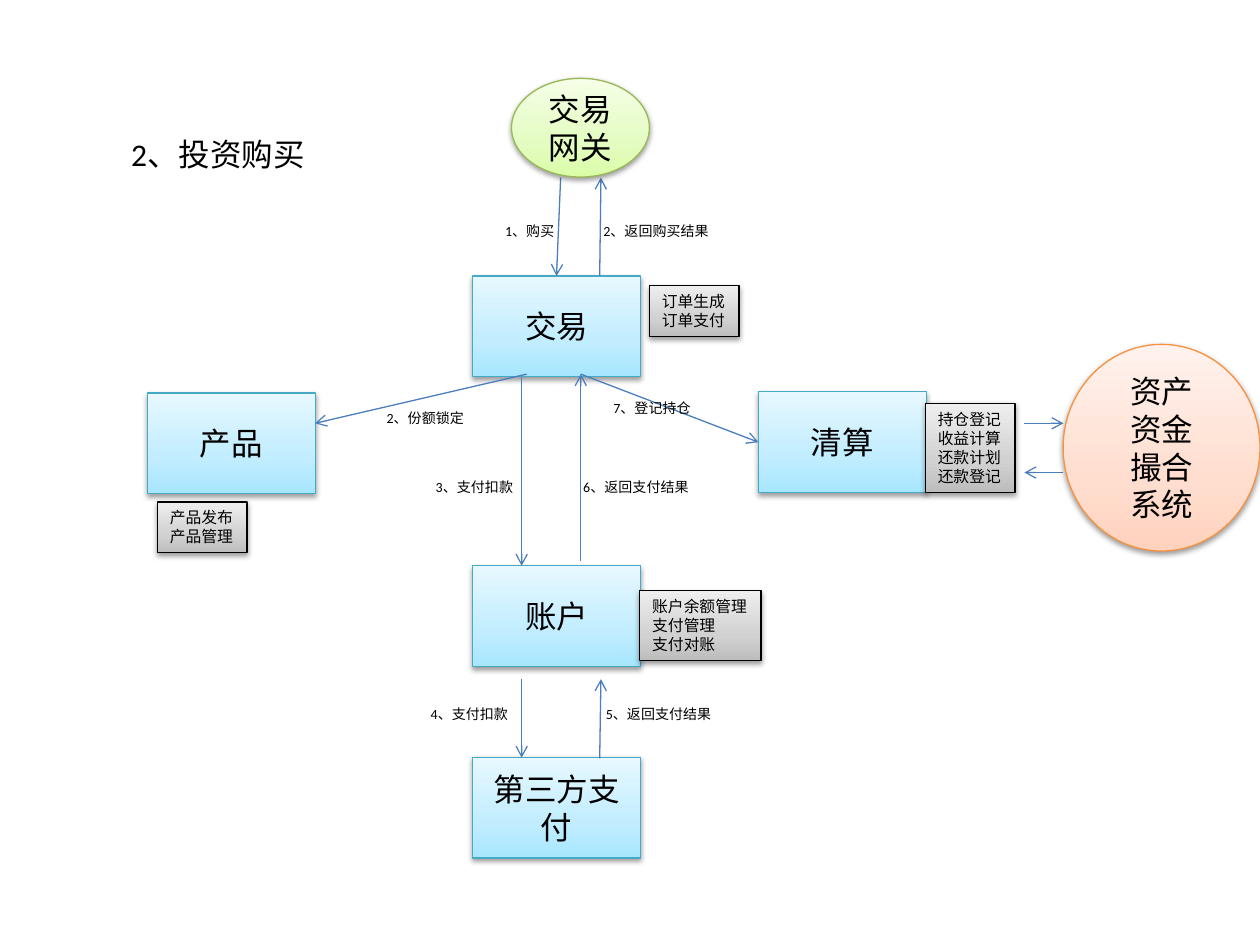
from lxml.etree import SubElement
from pptx import Presentation
from pptx.dml.color import RGBColor
from pptx.enum.shapes import MSO_CONNECTOR, MSO_SHAPE
from pptx.enum.text import MSO_ANCHOR, MSO_AUTO_SIZE, PP_ALIGN
from pptx.oxml import parse_xml
from pptx.oxml.ns import nsdecls, qn
from pptx.util import Pt

# Each style: line colour, then gradient stops from bottom to top
BLUE = ("46AAC5", ("A7E6FF", "C1EDFF", "E7F8FF"))
GRAY = ("000000", ("BDBDBD", "D1D1D1", "EEEEEE"))
GREEN = ("98B955", ("DAFDA7", "E4FCC2", "F5FFE7"))
ORANGE = ("F69240", ("FFD2BD", "FFDED0", "FFF2ED"))
STOPS = (0, 35, 100)

MODULE_SIZE = (96, 57.6)
MODULES = {
    "产品": (84.2, 224.6),
    "交易": (270, 157.7),
    "清算": (433.4, 223.9),
    "账户": (270, 323.3),
    "第三方支付": (270, 432.7),
}
FREE_ARROWS = [
    ((301, 213.8), (180, 241.9)),
    ((298.1, 215.3), (298.1, 323.3)),
    ((298.1, 388.1), (298.1, 433)),
    ((342.7, 433.4), (343.4, 388.1)),
    ((342.7, 157.7), (343.4, 101.5)),
    ((331.9, 320.4), (331.9, 213.8)),
    ((585.4, 241.9), (607.7, 241.9)),
    ((607.7, 270), (585.4, 270)),
]
LABELS = [
    ("1、购买", 281.5, 123.8, 42.5),
    ("2、返回购买结果", 337.7, 123.8, 74.9),
    ("2、份额锁定", 213.8, 230.4, 59),
    ("3、支付扣款", 241.9, 270, 59),
    ("4、支付扣款", 239, 399.6, 59),
    ("5、返回支付结果", 339.1, 399.6, 74.9),
    ("6、返回支付结果", 326.2, 270, 74.9),
    ("7、登记持仓", 343.4, 224.6, 59),
]
NOTES = [
    (("订单生成", "订单支付"), (371.2, 163.3, 51.2, 29.1)),
    (("产品发布", "产品管理"), (90, 286.8, 51.2, 29.1)),
    (("账户余额管理", "支付管理", "支付对账"), (365.6, 337.5, 69.2, 40)),
    (("持仓登记", "收益计算", "还款计划", "还款登记"), (528.8, 230.5, 51.2, 50.9)),
]


def color(hex_value):
    return RGBColor.from_string(hex_value)


def write(shape, lines, size, align=PP_ALIGN.LEFT, anchor=MSO_ANCHOR.TOP, grow=False):
    frame = shape.text_frame
    frame.word_wrap = True
    frame.vertical_anchor = anchor
    frame.auto_size = MSO_AUTO_SIZE.SHAPE_TO_FIT_TEXT if grow else MSO_AUTO_SIZE.NONE
    frame.text = "\n".join(lines)
    for para in frame.paragraphs:
        para.alignment = align
        para.font.name = "Calibri"
        para.font.size = Pt(size)
        para.font.color.rgb = color("000000")


def add_gradient(shape, stops):
    """Fill with three stops, which python-pptx gradients do not offer."""
    stop_xml = "".join(
        f'<a:gs pos="{position * 1000}"><a:srgbClr val="{value}"/></a:gs>'
        for position, value in zip(STOPS, stops)
    )
    gradient = parse_xml(
        f'<a:gradFill {nsdecls("a")} rotWithShape="1"><a:gsLst>{stop_xml}</a:gsLst>'
        '<a:lin ang="16200000" scaled="0"/></a:gradFill>'
    )
    shape._element.spPr.find(qn("a:prstGeom")).addnext(gradient)


def add_shadow(shape):
    shape.shadow.inherit = False
    effects = shape._element.spPr.find(qn("a:effectLst"))
    effects.append(parse_xml(
        f'<a:outerShdw {nsdecls("a")} blurRad="40000" dist="20000" dir="5400000" '
        'rotWithShape="0"><a:srgbClr val="000000"><a:alpha val="38000"/>'
        '</a:srgbClr></a:outerShdw>'
    ))


def add_panel(page, kind, bounds, style):
    line_color, stops = style
    panel = page.shapes.add_shape(kind, *map(Pt, bounds))
    add_gradient(panel, stops)
    panel.line.color.rgb = color(line_color)
    panel.line.width = Pt(0.75)
    add_shadow(panel)
    return panel


def add_node(page, kind, lines, bounds, style):
    node = add_panel(page, kind, bounds, style)
    write(node, lines, 18, PP_ALIGN.CENTER, MSO_ANCHOR.MIDDLE)
    return node


def add_note(page, lines, bounds):
    note = add_panel(page, MSO_SHAPE.RECTANGLE, bounds, GRAY)
    write(note, lines, 9, grow=True)


def add_label(page, text, left, top, width):
    label = page.shapes.add_textbox(Pt(left), Pt(top), Pt(width), Pt(17))
    write(label, [text], 8, grow=True)


def add_arrow(page, start, end):
    arrow = page.shapes.add_connector(MSO_CONNECTOR.STRAIGHT, *map(Pt, start + end))
    arrow.line.color.rgb = color("4B7EBC")
    arrow.line.width = Pt(0.75)
    SubElement(arrow.line._get_or_add_ln(), qn("a:tailEnd"), type="arrow")
    SubElement(arrow._element.spPr, qn("a:effectLst"))
    return arrow


def set_title(page, text):
    title = page.shapes.title
    title.left, title.top, title.width, title.height = map(Pt, (67.7, 73.4, 114.5, 29))
    write(title, [text], 18, grow=True)


def main():
    deck = Presentation()
    deck.slide_width, deck.slide_height = Pt(720), Pt(540)
    page = deck.slides.add_slide(deck.slide_layouts[5])
    set_title(page, "2、投资购买")

    modules = {
        name: add_node(page, MSO_SHAPE.RECTANGLE, [name], corner + MODULE_SIZE, BLUE)
        for name, corner in MODULES.items()
    }
    for start, end in FREE_ARROWS:
        add_arrow(page, start, end)
    purchase = add_arrow(page, (320.4, 101.5), (318, 157.7))
    purchase.end_connect(modules["交易"], 0)
    registration = add_arrow(page, (331.9, 213.8), (433.4, 252.7))
    registration.end_connect(modules["清算"], 1)

    for label in LABELS:
        add_label(page, *label)
    for lines, bounds in NOTES:
        add_note(page, lines, bounds)
    add_node(page, MSO_SHAPE.OVAL, ["交易网关"], (292.3, 44.8, 78.8, 56.4), GREEN)
    add_node(page, MSO_SHAPE.OVAL, ["资产", "资金", "撮合", "系统"],
             (607.5, 196.8, 112.5, 118.1), ORANGE)
    deck.save("out.pptx")


if __name__ == "__main__":
    main()
